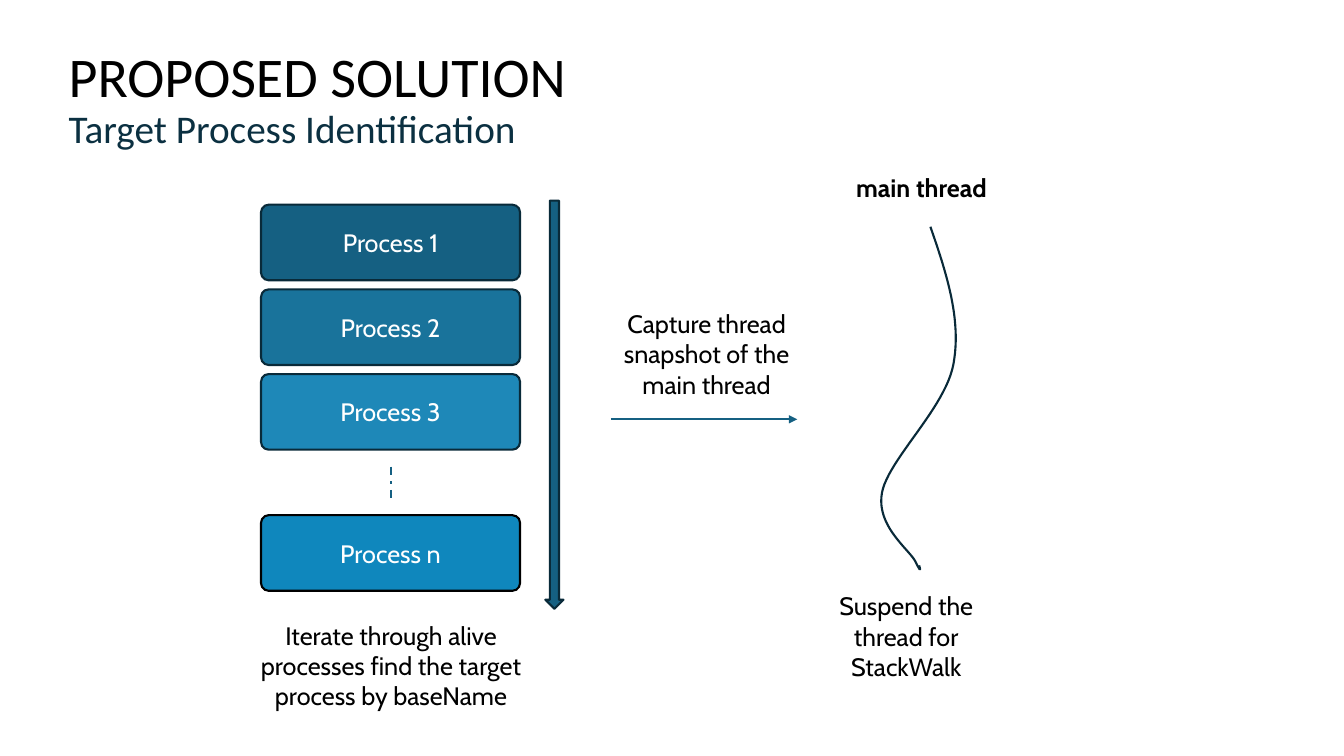
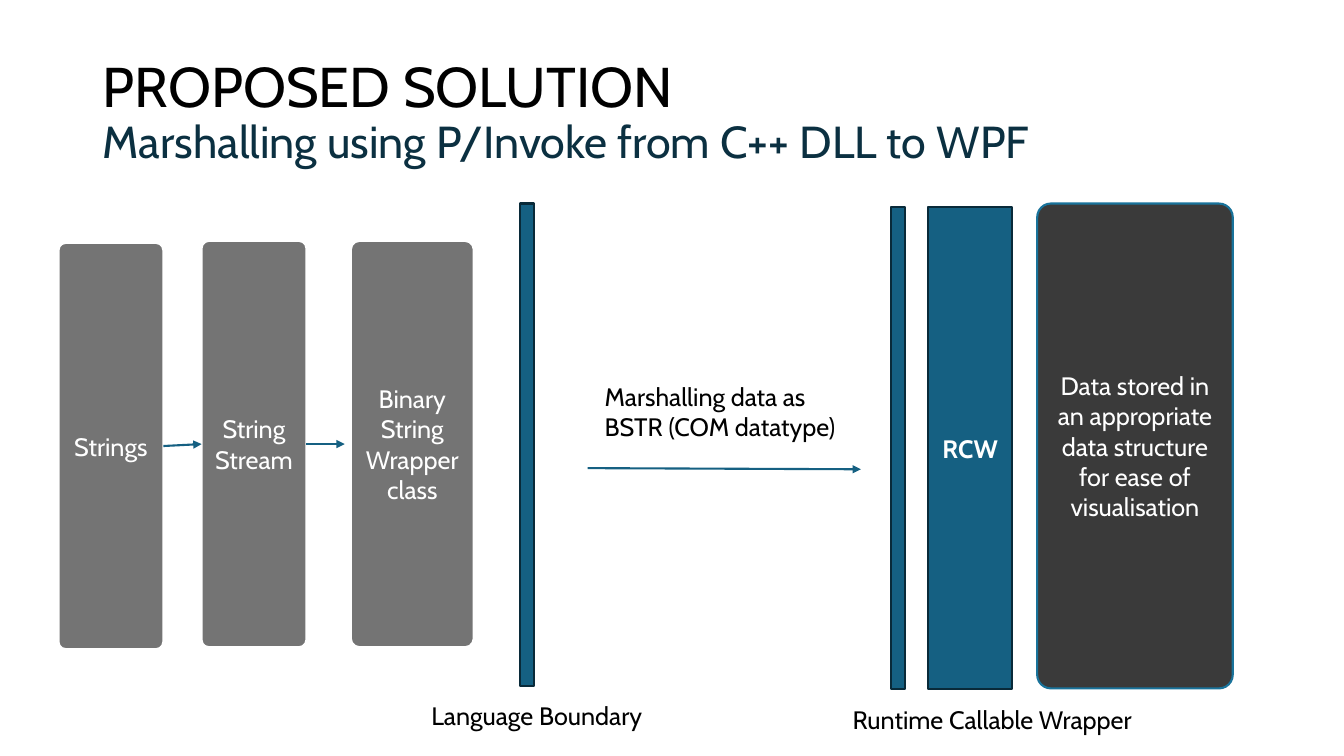
"""Build two slides on target process capture and marshalling."""
from dataclasses import dataclass

from lxml import etree
from pptx import Presentation
from pptx.dml.color import RGBColor
from pptx.enum import dml, shapes, text
from pptx.oxml import ns
from pptx.util import Pt

BLACK = RGBColor(0x00, 0x00, 0x00)
WHITE = RGBColor(0xFF, 0xFF, 0xFF)
NAVY = RGBColor(0x0B, 0x30, 0x41)
EDGE = RGBColor(0x09, 0x2A, 0x39)
TEAL = RGBColor(0x15, 0x60, 0x82)
BLUE = RGBColor(0x19, 0x73, 0x9B)
SKY = RGBColor(0x1E, 0x88, 0xB8)
AZURE = RGBColor(0x0F, 0x87, 0xBD)
GREY = RGBColor(0x74, 0x74, 0x74)
COAL = RGBColor(0x3A, 0x3A, 0x3A)
FONT = "Cabin"
LEFT, MID = text.PP_ALIGN.LEFT, text.PP_ALIGN.CENTER
RECT = shapes.MSO_SHAPE.RECTANGLE
ROUND = shapes.MSO_SHAPE.ROUNDED_RECTANGLE
DOWN = shapes.MSO_SHAPE.DOWN_ARROW

Spot = tuple[float, float]


@dataclass
class Box:
    """A filled shape with optional centred text."""
    x: float
    y: float
    w: float
    h: float
    fill: RGBColor
    words: str = ""
    edge: RGBColor = EDGE
    kind: int = RECT
    adj: float | None = None
    bold: bool = False


@dataclass
class Note:
    """A plain label."""
    x: float
    y: float
    w: float
    h: float
    words: str
    align: int = MID
    bold: bool = False


@dataclass
class Curve:
    """A cubic curve piece that starts where the last one ended."""
    a: Spot
    b: Spot
    end: Spot


def write(frame, words: str, color: RGBColor, align: int, bold: bool) -> None:
    """Fill a text frame in the shared body style."""
    frame.word_wrap = True
    frame.text = words
    for para in frame.paragraphs:
        para.alignment = align
        font = para.font
        font.name, font.size, font.bold = FONT, Pt(18), bold
        font.color.rgb = color


def add_title(slide, x: float, y: float, sub: str, size: float, face: str) -> None:
    """Place the title with its smaller second line."""
    title = slide.shapes.title
    title.left, title.top = Pt(x), Pt(y)
    title.width, title.height = Pt(828), Pt(104.4)
    frame = title.text_frame
    frame.auto_size = text.MSO_AUTO_SIZE.NONE
    frame.vertical_anchor = text.MSO_ANCHOR.MIDDLE
    para = frame.paragraphs[0]
    para.alignment, para.line_spacing = LEFT, 0.9
    para.font.name = face
    head = para.add_run()
    head.text = "PROPOSED SOLUTION"
    head.font.size, head.font.color.rgb = Pt(40), BLACK
    para.add_line_break()
    tail = para.add_run()
    tail.text = sub
    tail.font.size, tail.font.color.rgb = Pt(size), NAVY


def add_box(slide, box: Box):
    """Draw a box and return its shape."""
    shape = slide.shapes.add_shape(box.kind, Pt(box.x), Pt(box.y), Pt(box.w), Pt(box.h))
    shape.shadow.inherit = False
    shape.fill.solid()
    shape.fill.fore_color.rgb = box.fill
    shape.line.color.rgb = box.edge
    shape.line.width = Pt(1.5)
    if box.adj is not None:
        shape.adjustments[0] = box.adj
    if box.words:
        shape.text_frame.vertical_anchor = text.MSO_ANCHOR.MIDDLE
        write(shape.text_frame, box.words, WHITE, MID, box.bold)
    return shape


def add_note(slide, note: Note) -> None:
    """Draw a label."""
    shape = slide.shapes.add_textbox(Pt(note.x), Pt(note.y), Pt(note.w), Pt(note.h))
    write(shape.text_frame, note.words, BLACK, note.align, note.bold)


def add_line(slide, start: Spot, end: Spot, arrow: bool = True):
    """Draw an arrow, or a dashed line without a head."""
    line = slide.shapes.add_connector(
        shapes.MSO_CONNECTOR.STRAIGHT, *(Pt(v) for v in (*start, *end)))
    line.line.color.rgb = TEAL
    line.line.width = Pt(1.5)
    props = line._element.spPr
    if arrow:
        etree.SubElement(props.find(ns.qn("a:ln")), ns.qn("a:tailEnd"), type="triangle")
    else:
        line.line.dash_style = dml.MSO_LINE.DASH_DOT
    etree.SubElement(props, ns.qn("a:effectLst"))
    return line


def add_curve(slide, start: Spot, parts: list[Curve], steps: int = 24) -> None:
    """Draw an open smooth line through the curve pieces."""
    spots, here = [], start
    for part in parts:
        for step in range(1, steps + 1):
            t = step / steps
            s = 1 - t
            spots.append(tuple(
                Pt(s**3 * p + 3 * s * s * t * a + 3 * s * t * t * b + t**3 * q)
                for p, a, b, q in zip(here, part.a, part.b, part.end)))
        here = part.end
    pen = slide.shapes.build_freeform(Pt(start[0]), Pt(start[1]))
    pen.add_line_segments(spots, close=False)
    shape = pen.convert_to_shape()
    shape.shadow.inherit = False
    shape.fill.background()
    shape.line.color.rgb = EDGE
    shape.line.width = Pt(1.5)


def draw_search(slide) -> None:
    """Draw the process search and the thread capture."""
    add_title(slide, 41.8, 19.4, "Target Process Identification", 28, "Calibri")
    top, pitch = 146.2, 60.5
    rows = [
        ("Process 1", top, TEAL, EDGE),
        ("Process 2", top + pitch, BLUE, EDGE),
        ("Process 3", top + 2 * pitch, SKY, EDGE),
        ("Process n", 368, AZURE, BLACK),
    ]
    for words, y, fill, edge in rows:
        add_box(slide, Box(186.5, y, 185, 54, fill, words, edge, ROUND, 0.1))
    add_box(slide, Box(389.5, 143.3, 13, 291.6, TEAL, kind=DOWN))
    add_line(slide, (279, 333.4), (279, 360), arrow=False)
    add_line(slide, (436.3, 299.5), (569.5, 299.5))
    add_curve(slide, (664.6, 162), [
        Curve((676.1, 195.1), (686.9, 228.2), (681.1, 259.9)),
        Curve((675.4, 291.6), (634.3, 328.3), (630, 352.1)),
        Curve((625.7, 375.8), (649.4, 392.4), (653.8, 401)),
        Curve((658.1, 409.7), (657.4, 406.8), (656.6, 403.9)),
    ])
    for note in (
        Note(174.2, 439.2, 210.2, 72.7,
             "Iterate through alive processes find the target process by baseName"),
        Note(433.4, 216.7, 142.6, 72.7, "Capture thread snapshot of the main thread"),
        Note(576, 418.3, 142.6, 72.7, "Suspend the thread for StackWalk"),
        Note(604.4, 119.5, 118.8, 29, "main thread", LEFT, True),
    ):
        add_note(slide, note)


def draw_bridge(slide) -> None:
    """Draw the string path across the language boundary."""
    add_title(slide, 66.2, 28.8, "Marshalling using P/Invoke from C++ DLL to WPF", 32, FONT)
    first, second, _ = [
        add_box(slide, Box(x, y, w, 290.2, GREY, words, WHITE, ROUND, 0.07))
        for x, y, w, words in (
            (41.8, 173.5, 74.9, "Strings"),
            (144, 172.1, 74.9, "String\nStream"),
            (250.6, 172.1, 87.8, "Binary String Wrapper class"),
        )
    ]
    link = add_line(slide, (116.7, 318), (144, 318))
    link.begin_connect(first, 3)
    link.end_connect(second, 1)
    add_line(slide, (218.9, 317.2), (246.2, 317.2)).begin_connect(second, 3)
    add_line(slide, (419.8, 334.4), (614.9, 335.2))
    for box in (
        Box(740.9, 145.4, 139.7, 346.3, COAL,
            "Data stored in an appropriate data structure for ease of visualisation",
            BLUE, ROUND, 0.07),
        Box(371.5, 145.4, 10.1, 344.9, TEAL),
        Box(636.5, 147.6, 10.1, 344.9, TEAL),
        Box(663.1, 147.6, 59.8, 344.9, TEAL, "RCW", bold=True),
    ):
        add_box(slide, box)
    for note in (
        Note(424.8, 268.6, 195.1, 51.1, "Marshalling data as BSTR (COM datatype)", LEFT),
        Note(301, 496.8, 195.1, 29, "Language Boundary", LEFT),
        Note(601.9, 499.7, 222.5, 29, "Runtime Callable Wrapper", LEFT),
    ):
        add_note(slide, note)


def main() -> None:
    """Build and save the deck."""
    deck = Presentation()
    deck.slide_width, deck.slide_height = Pt(960), Pt(540)
    for draw in (draw_search, draw_bridge):
        draw(deck.slides.add_slide(deck.slide_layouts[5]))
    deck.save("out.pptx")


if __name__ == "__main__":
    main()
